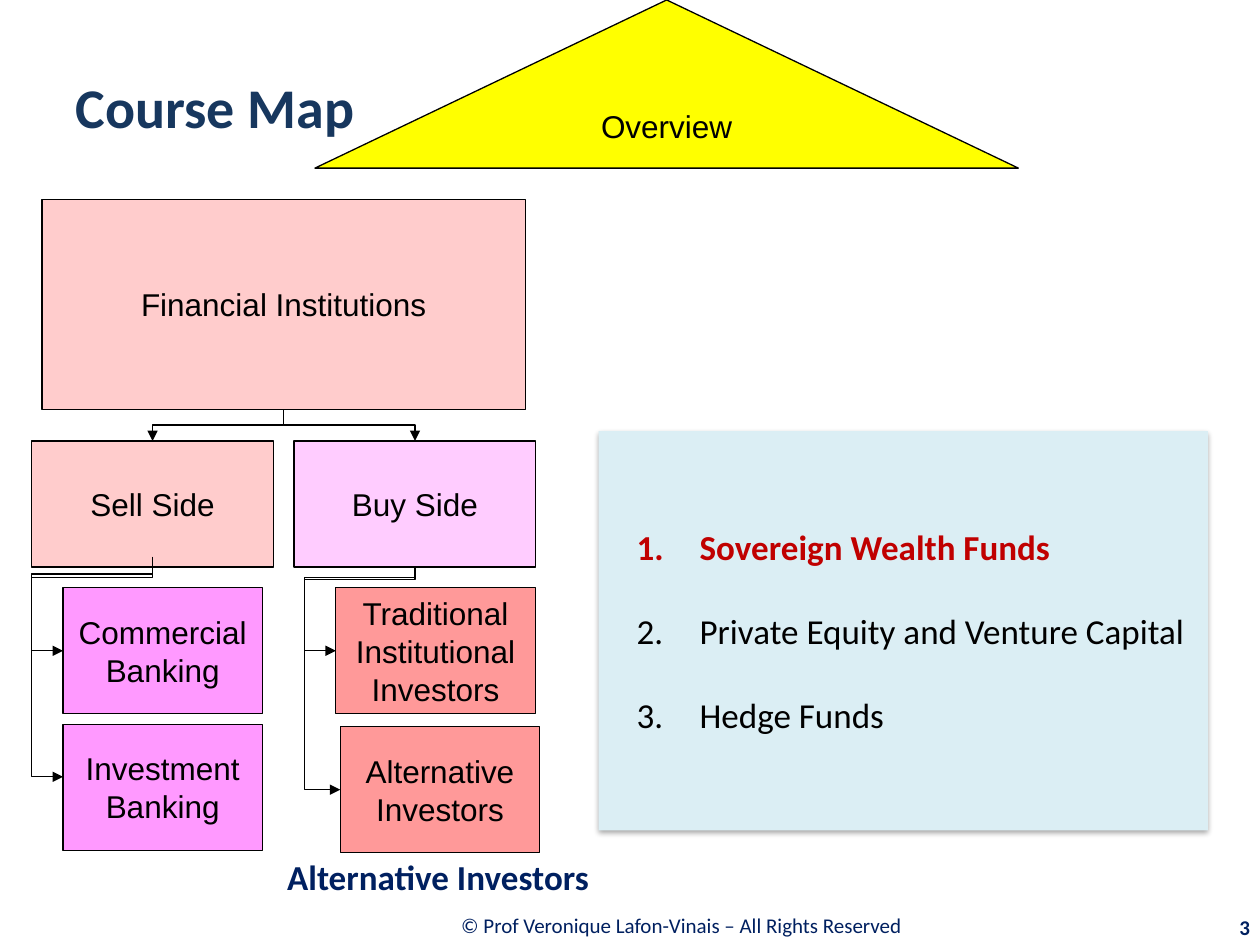
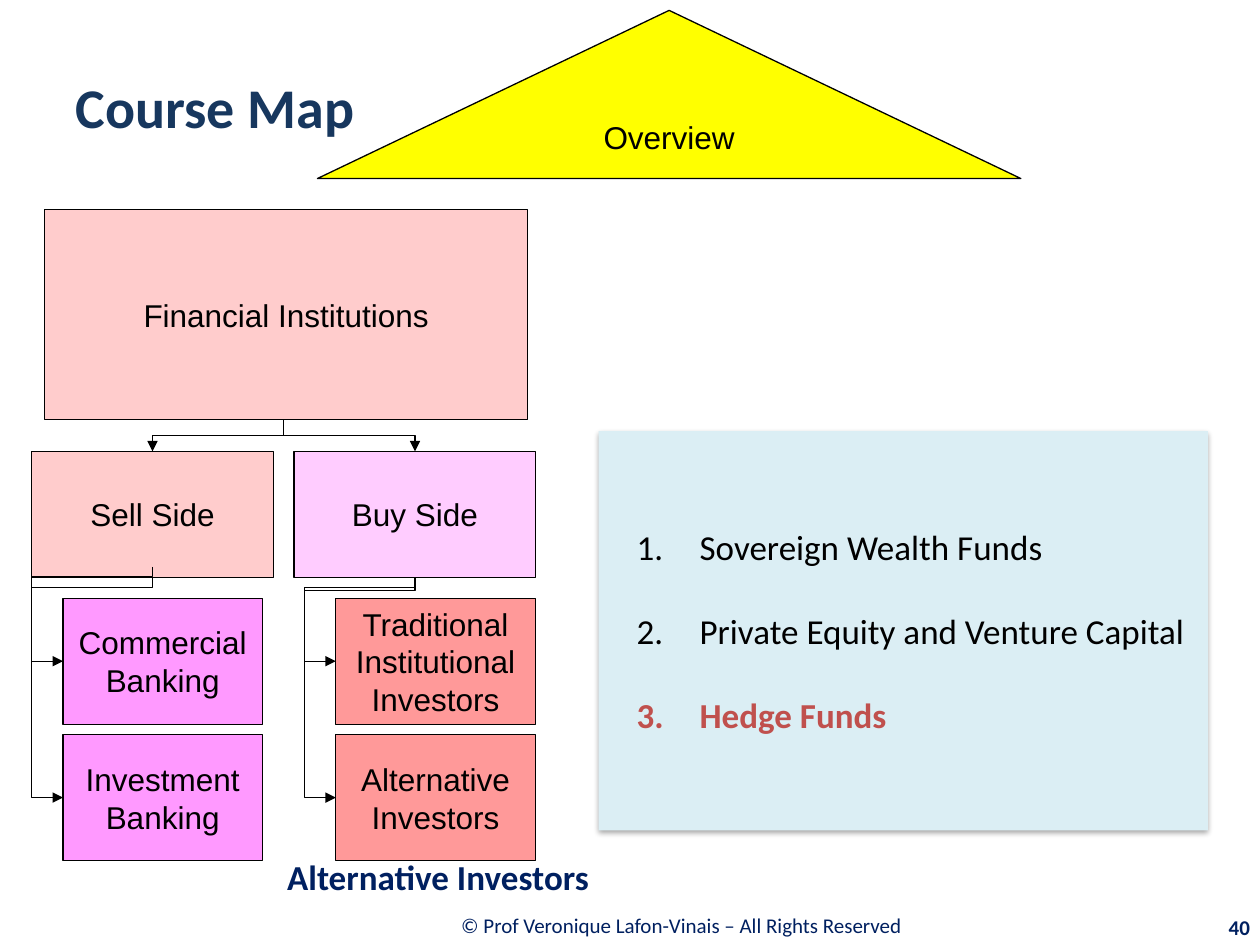
import dataclasses

import lxml.etree
import pptx
import pptx.dml.color
import pptx.enum.shapes
import pptx.enum.text
import pptx.oxml.ns
import pptx.util

Cm = pptx.util.Cm
Pt = pptx.util.Pt
qn = pptx.oxml.ns.qn
ALIGN = pptx.enum.text.PP_ALIGN
SHAPE = pptx.enum.shapes.MSO_SHAPE


@dataclasses.dataclass(frozen=True)
class Theme:
    """Colours, fonts and type sizes shared by all slides."""
    heading_font: str = "Calibri"
    map_font: str = "Arial"
    title: str = "17375E"
    navy: str = "002060"
    ink: str = "000000"
    overview: str = "FFFF00"
    institution: str = "FFCCCC"
    buy_side: str = "FFCCFF"
    bank: str = "FF99FF"
    investor: str = "FF9999"
    panel: str = "DBEEF4"
    title_size: int = 32
    topic_size: int = 20
    map_size: int = 18
    footer_size: int = 12
    line_width: float = 0.75


THEME = Theme()


@dataclasses.dataclass(frozen=True)
class CourseMap:
    """What varies from one course map to the next, lengths in cm."""
    number: str
    current_topic: str
    highlight: str
    map_top: float
    head_shift: float
    alternative_shift: tuple
    investment_drop: float
    investment_rise: float


TOPICS = ("Sovereign Wealth Funds", "Private Equity and Venture Capital", "Hedge Funds")
COURSE_MAPS = (
    CourseMap("3", TOPICS[0], "C00000", 0, 0, (0.09, 0.05), 0.35, 0.21),
    CourseMap("40", TOPICS[2], "C0504D", 0.21, 0.05, (0, 0), 0.2, 0),
)


def rgb(colour):
    """Turn a hex string into a colour."""
    return pptx.dml.color.RGBColor.from_string(colour)


def place(part, box):
    """Move a part to a (left, top, width, height) box in cm."""
    part.left, part.top, part.width, part.height = (Cm(length) for length in box)


def write(frame, text, *, size, font=THEME.heading_font, colour=THEME.navy,
          bold=False, align=ALIGN.LEFT, new_paragraph=False, spacing=None):
    """Write one formatted paragraph in a text frame and return it."""
    frame.word_wrap = True
    frame.auto_size = pptx.enum.text.MSO_AUTO_SIZE.NONE
    frame.vertical_anchor = pptx.enum.text.MSO_ANCHOR.MIDDLE
    paragraph = frame.add_paragraph() if new_paragraph else frame.paragraphs[0]
    paragraph.alignment = align
    paragraph.space_before = Pt(0)
    if spacing:
        paragraph.line_spacing = spacing
    run = paragraph.add_run()
    run.text = text
    run.font.name, run.font.size, run.font.bold = font, Pt(size), bold
    run.font.color.rgb = rgb(colour)
    return paragraph


def add_caption(slide, text, box, **style):
    """Add a text box with one line."""
    caption = slide.shapes.add_textbox(*(Cm(length) for length in box))
    write(caption.text_frame, text, **style)


def add_node(slide, text, box, colour, outline=SHAPE.RECTANGLE):
    """Add an outlined node of the map and return its box."""
    node = slide.shapes.add_shape(outline, *(Cm(length) for length in box))
    node.shadow.inherit = False
    node.fill.solid()
    node.fill.fore_color.rgb = rgb(colour)
    node.line.color.rgb = rgb(THEME.ink)
    node.line.width = Pt(THEME.line_width)
    write(node.text_frame, text, size=THEME.map_size, font=THEME.map_font,
          colour=THEME.ink, align=ALIGN.CENTER)
    return box


def side_middle(box, side):
    """Return the middle of the top, left or bottom side of a box."""
    left, top, width, height = box
    return {"top": (left + width / 2, top),
            "left": (left, top + height / 2),
            "bottom": (left + width / 2, top + height)}[side]


def add_branch(slide, start, end, drop, rail=None):
    """Add an elbow arrow that leaves downwards, by way of a rail if one is given."""
    (x1, y1), (x2, y2) = start, end
    across, down = abs(x2 - x1), y2 - y1
    middle_x, middle_y = (x1 + x2) / 2, (y1 + y2) / 2
    branch = slide.shapes.add_connector(
        pptx.enum.shapes.MSO_CONNECTOR.ELBOW,
        Cm(middle_x - down / 2), Cm(middle_y - across / 2),
        Cm(middle_x + down / 2), Cm(middle_y + across / 2))
    branch.line.color.rgb = rgb(THEME.ink)
    branch.line.width = Pt(THEME.line_width)
    properties = branch._element.spPr
    transform = properties.find(qn("a:xfrm"))
    transform.set("rot", "16200000" if x2 > x1 else "5400000")
    if x2 > x1:
        transform.set("flipH", "1")
    bends = [drop / down]
    geometry = properties.find(qn("a:prstGeom"))
    if rail is not None:
        geometry.set("prst", "bentConnector4")
        bends.append((x1 - rail) / across)
    guides = geometry.find(qn("a:avLst"))
    for index, bend in enumerate(bends, 1):
        lxml.etree.SubElement(guides, qn("a:gd"), name=f"adj{index}",
                              fmla=f"val {round(bend * 100000)}")
    lxml.etree.SubElement(properties.find(qn("a:ln")), qn("a:tailEnd"), type="triangle")
    lxml.etree.SubElement(properties, qn("a:effectLst"))


def build_map(slide, course, box):
    """Draw the tree of financial institutions under its overview roof."""
    left, top, width, _ = box
    shift = course.head_shift
    side_width, leaf_width, height = 4.87, 4.02, 2.54
    leaf_top, leaf_pitch = top + 11.85, 2.75
    buy_left = left + width - side_width
    add_node(slide, "Overview", (left + 5.71 + shift, top, 14.18, 3.39),
             THEME.overview, SHAPE.FLOWCHART_EXTRACT)
    add_node(slide, "Financial Institutions",
             (left + 0.21 + shift, top + 4.02, 9.74, 4.23), THEME.institution)
    sell = add_node(slide, "Sell Side", (left, top + 8.89, side_width, height),
                    THEME.institution)
    buy = add_node(slide, "Buy Side", (buy_left, top + 8.89, side_width, height),
                   THEME.buy_side)
    trunk = (left + 5.08, top + 8.25)
    for side in (buy, sell):
        add_branch(slide, trunk, side_middle(side, "top"), 0.32)

    def add_leaf(text, leaf_left, row, colour, offset=(0, 0)):
        """Add a leaf in its row and return the middle of its left side."""
        leaf = (leaf_left + offset[0], leaf_top + row * leaf_pitch + offset[1],
                leaf_width, height)
        return side_middle(add_node(slide, text, leaf, colour), "left")

    bank_left, investor_left = left + 0.63, buy_left + 0.84
    commercial = add_leaf("Commercial Banking", bank_left, 0, THEME.bank)
    investment = add_leaf("Investment Banking", bank_left, 1, THEME.bank)
    traditional = add_leaf("Traditional Institutional Investors", investor_left, 0,
                           THEME.investor)
    alternative = add_leaf("Alternative Investors", investor_left, 1, THEME.investor,
                           course.alternative_shift)

    sell_x, sell_y = side_middle(sell, "bottom")
    buy_exit = side_middle(buy, "bottom")
    buy_rail = buy_left + 0.21
    add_branch(slide, (sell_x, sell_y), commercial, 0.21, left)
    add_branch(slide, (sell_x, sell_y - 0.21),
               (investment[0], investment[1] - course.investment_rise),
               course.investment_drop, left)
    add_branch(slide, buy_exit, traditional, 0.21, buy_rail)
    add_branch(slide, buy_exit, alternative, 0.26, buy_rail)


def build_topics(slide, course, box):
    """Fill the shaded panel with the numbered topics, the current one highlighted."""
    panel = slide.placeholders[1]
    place(panel, box)
    panel.fill.solid()
    panel.fill.fore_color.rgb = rgb(THEME.panel)
    effects = lxml.etree.SubElement(panel._element.spPr, qn("a:effectLst"))
    shadow = lxml.etree.SubElement(effects, qn("a:outerShdw"), blurRad="40000",
                                   dist="23000", dir="5400000", rotWithShape="0")
    shade = lxml.etree.SubElement(shadow, qn("a:srgbClr"), val=THEME.ink)
    lxml.etree.SubElement(shade, qn("a:alpha"), val="35000")
    for index, topic in enumerate(TOPICS):
        current = topic == course.current_topic
        paragraph = write(panel.text_frame, topic, size=THEME.topic_size,
                          colour=course.highlight if current else THEME.ink,
                          bold=current, new_paragraph=index > 0,
                          spacing=2.0 if index else 1.0)
        numbering = paragraph._p.get_or_add_pPr()
        numbering.set("marL", str(Cm(1.78)))
        numbering.set("indent", str(-Cm(1.27)))
        lxml.etree.SubElement(numbering, qn("a:buFont"), typeface="+mj-lt")
        lxml.etree.SubElement(numbering, qn("a:buAutoNum"), type="arabicPeriod")


def build_footer(slide, number, box):
    """Add the section name, the rights line and the slide number."""
    left, top, width, _ = box
    add_caption(slide, "Alternative Investors", (left, top, width, 1.19),
                size=THEME.topic_size, bold=True)
    add_caption(slide, "© Prof Veronique Lafon-Vinais – All Rights Reserved ",
                (left + 0.02, top + 1.09, 16.46, 0.99),
                size=THEME.footer_size, align=ALIGN.CENTER)
    add_caption(slide, number, (left + width - 2.52, top + 1.22, 2.57, 0.81),
                size=THEME.footer_size, bold=True, align=ALIGN.RIGHT)


def build_course_map(deck, course):
    """Add one course map slide."""
    slide = deck.slides.add_slide(deck.slide_layouts[1])
    place(slide.shapes.title, (1.27, 0.33, 6.55, 3.61))
    write(slide.shapes.title.text_frame, "Course Map", size=THEME.title_size,
          colour=THEME.title, bold=True)
    build_map(slide, course, (0.64, course.map_top, 10.16, 17.15))
    build_topics(slide, course, (12.07, 8.69, 12.28, 8.05))
    build_footer(slide, course.number, (5.54, 17.07, 19.86, 1.98))


def main():
    """Build and save the deck."""
    deck = pptx.Presentation()
    deck.slide_width, deck.slide_height = Cm(25.4), Cm(19.05)
    for course in COURSE_MAPS:
        build_course_map(deck, course)
    deck.save("out.pptx")


if __name__ == "__main__":
    main()
